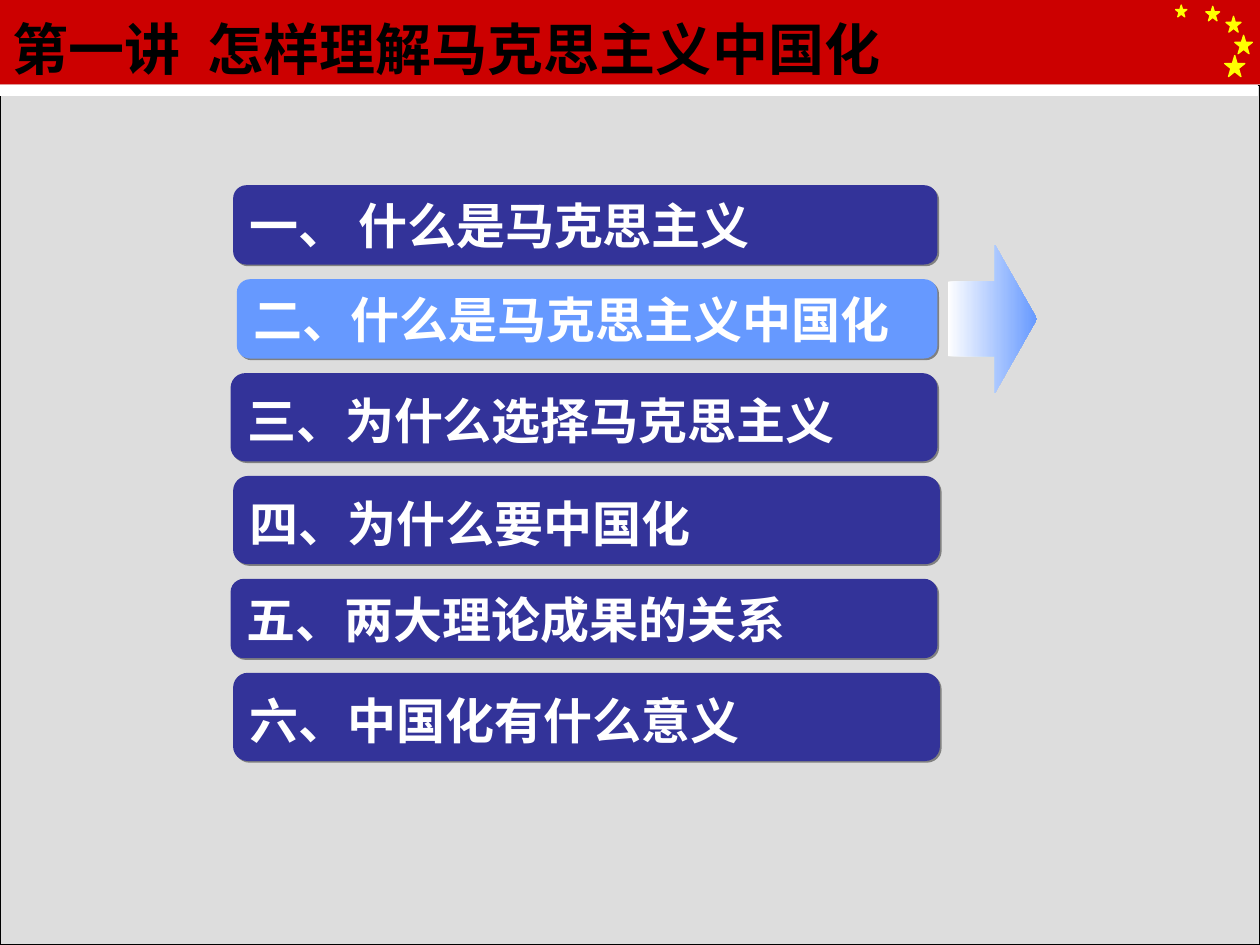
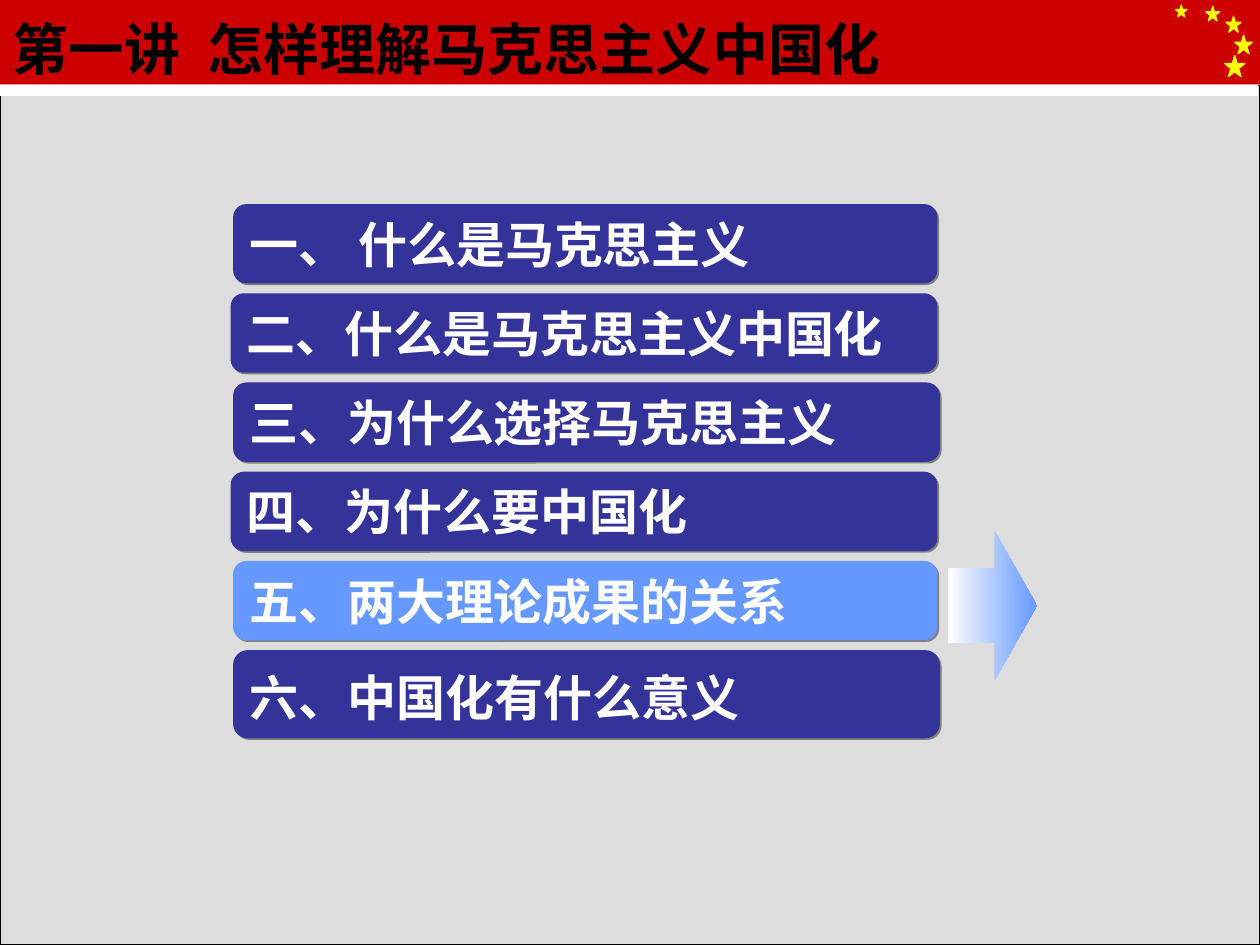
from dataclasses import dataclass

from lxml.etree import SubElement
from pptx import Presentation
from pptx.dml.color import RGBColor
from pptx.enum.shapes import MSO_SHAPE as Preset
from pptx.enum.text import MSO_ANCHOR as Anchor, PP_ALIGN as Align
from pptx.oxml.ns import qn
from pptx.util import Inches, Pt

COLUMNS, ROWS, CELL = 100, 75, 0.1
LATIN, CHINESE = "Times New Roman", "Noto Sans CJK SC"
BACKGROUND, PANEL, WHITE, BLACK = "EAEAEA", "DDDDDD", "FFFFFF", "000000"
RED, YELLOW, NAVY, SKY, SHADOW = "CC0000", "FFFF00", "333399", "6699FF", "808080"

TITLE_SIZE, ITEM_SIZE = 32, 28
TITLE_TAB = 15.5
LOW, TALL = 6.3, 7.0
STARS = [(97.2, 4.4, 1.6), (95.7, 0.5, 1.1), (93.3, 0.4, 0.9),
         (97.3, 1.3, 1.2), (98.0, 2.8, 1.4)]
TOPICS = ["一、 什么是马克思主义", "二、什么是马克思主义中国化", "三、为什么选择马克思主义",
          "四、为什么要中国化", "五、两大理论成果的关系", "六、中国化有什么意义"]


@dataclass
class Box:
    """An area of the slide in grid columns and rows."""
    left: float
    top: float
    width: float
    height: float

    def inner(self, left, top, width, height):
        """Return a box placed relative to this one."""
        return Box(self.left + left, self.top + top, width, height)

    def lengths(self):
        """Return the place and size as slide lengths."""
        cells = (self.left, self.top, self.width, self.height)
        return [Inches(cell * CELL) for cell in cells]


AGENDAS = [
    {"box": Box(18.3, 14.7, 56.3, 45.7), "active": 1, "arrow_drop": 0,
     "bars": [(0.2, 0.2, LOW), (0.5, 0.2, LOW), (0, 0.2, TALL),
              (0.2, 0, TALL), (0, 0.2, LOW), (0.2, 0, TALL)]},
    {"box": Box(18.3, 16.2, 56.3, 42.4), "active": 4, "arrow_drop": 0.4,
     "bars": [(0.2, 0.2, LOW), (0, 0.2, LOW), (0.2, 0, LOW),
              (0, 0.2, LOW), (0.2, 0.2, LOW), (0.2, 0, TALL)]},
]


def color(value):
    """Turn a hex string into a colour."""
    return RGBColor.from_string(value)


def apply(target, values):
    """Set attributes of an object from a dict."""
    for name, value in values.items():
        setattr(target, name, value)


def add_preset(slide, preset, box, fill=None, line=None):
    """Add a flat preset shape with an optional fill and outline."""
    shape = slide.shapes.add_shape(preset, *box.lengths())
    shape.shadow.inherit = False
    if fill:
        shape.fill.solid()
        shape.fill.fore_color.rgb = color(fill)
    if line:
        shape.line.color.rgb = color(line)
        shape.line.width = Pt(0.75)
    else:
        shape.line.fill.background()
    return shape


def add_run(paragraph, text, size, ink, latin=LATIN):
    """Add a bold run with its Latin and Chinese fonts."""
    run = paragraph.add_run()
    run.text = text
    apply(run.font, {"size": Pt(size), "bold": True, "name": latin})
    run.font.color.rgb = color(ink)
    SubElement(run._r.get_or_add_rPr(), qn("a:ea"), typeface=CHINESE)


def format_frame(shape):
    """Prepare a text frame and return its left-aligned first paragraph."""
    frame = shape.text_frame
    apply(frame, {"word_wrap": True, "vertical_anchor": Anchor.MIDDLE,
                  "margin_left": Inches(0.1), "margin_right": Inches(0.1),
                  "margin_top": Inches(0.05), "margin_bottom": Inches(0.05)})
    paragraph = frame.paragraphs[0]
    paragraph.alignment = Align.LEFT
    return paragraph


def add_offset_shadow(shape):
    """Give a shape a hard grey shadow to the lower right."""
    effects = shape._element.spPr.find(qn("a:effectLst"))
    shadow = SubElement(effects, qn("a:outerShdw"), blurRad="0", dist=str(int(Pt(1.4))),
                        dir="2700000", algn="ctr", rotWithShape="0")
    SubElement(shadow, qn("a:srgbClr"), val=SHADOW)


def add_frame(slide, page):
    """Draw the background, red band, stars and grey panel of a page."""
    slide.background.fill.solid()
    slide.background.fill.fore_color.rgb = color(BACKGROUND)
    add_preset(slide, Preset.RECTANGLE, page.inner(0, 0, page.width, 6.7), RED)
    for left, top, size in STARS:
        add_preset(slide, Preset.STAR_5_POINT, page.inner(left, top, size, size * 1.05),
                   YELLOW, YELLOW)
    panel = page.inner(0, 6.8, page.width, page.height - 6.8)
    add_preset(slide, Preset.RECTANGLE, panel, PANEL, BLACK)
    add_preset(slide, Preset.RECTANGLE, panel.inner(0, 0, 99.8, 0.8), WHITE, WHITE)


def add_title(slide, box):
    """Write the lecture title in the red band."""
    paragraph = format_frame(slide.shapes.add_textbox(*box.lengths()))
    tabs = SubElement(paragraph._p.get_or_add_pPr(), qn("a:tabLst"))
    SubElement(tabs, qn("a:tab"), pos=str(int(Inches(TITLE_TAB * CELL))), algn="l")
    add_run(paragraph, "第一讲\t怎样理解", TITLE_SIZE, BLACK)
    add_run(paragraph, "马克思主义中国化", TITLE_SIZE, BLACK, CHINESE)


def add_bar(slide, box, topic, fill):
    """Draw one rounded agenda bar with its topic."""
    bar = add_preset(slide, Preset.ROUNDED_RECTANGLE, box, fill)
    bar.adjustments[0] = 0.167
    add_offset_shadow(bar)
    paragraph = format_frame(bar)
    add_run(paragraph, topic, ITEM_SIZE, WHITE)
    if box.height == TALL:
        add_run(paragraph, " ", TITLE_SIZE, WHITE)


def add_arrow(slide, box):
    """Draw the fading arrow that marks the current topic."""
    arrow = add_preset(slide, Preset.RIGHT_ARROW, box)
    arrow.adjustments[0], arrow.adjustments[1] = 0.5, 0.471
    arrow.fill.gradient()
    arrow.fill.gradient_angle = 0
    for stop, position, shade in zip(arrow.fill.gradient_stops, (0, 1), (WHITE, SKY)):
        stop.position = position
        stop.color.rgb = color(shade)


def add_agenda(slide, box, bars, active, arrow_drop):
    """Stack the topics with equal gaps and point out the active one."""
    gap = (box.height - sum(height for _, _, height in bars)) / (len(bars) - 1)
    top = 0
    for index, (topic, (left, right, height)) in enumerate(zip(TOPICS, bars)):
        bar = box.inner(left, top, box.width - left - right, height)
        add_bar(slide, bar, topic, SKY if index == active else NAVY)
        if index == active:
            arrow_top = top + (height - 11.8) / 2 + arrow_drop
            add_arrow(slide, box.inner(box.width + 0.6, arrow_top, 7.1, 11.8))
        top += height + gap


def main():
    """Build the two agenda slides and save them."""
    presentation = Presentation()
    page = Box(0, 0, COLUMNS, ROWS)
    presentation.slide_width, presentation.slide_height = page.lengths()[2:]
    for agenda in AGENDAS:
        slide = presentation.slides.add_slide(presentation.slide_layouts[6])
        add_frame(slide, page)
        add_title(slide, page.inner(0, 0, 75, 7.6))
        add_agenda(slide, **agenda)
    presentation.save("out.pptx")


if __name__ == "__main__":
    main()
